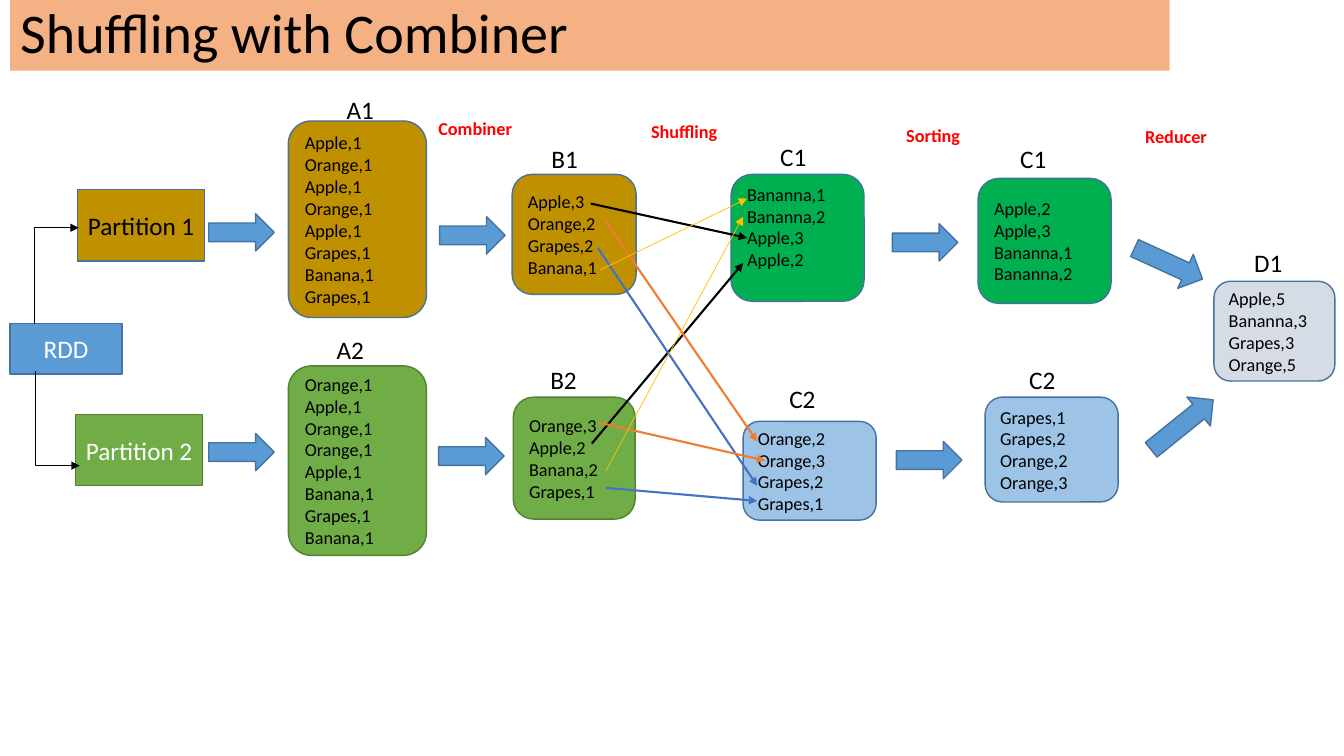
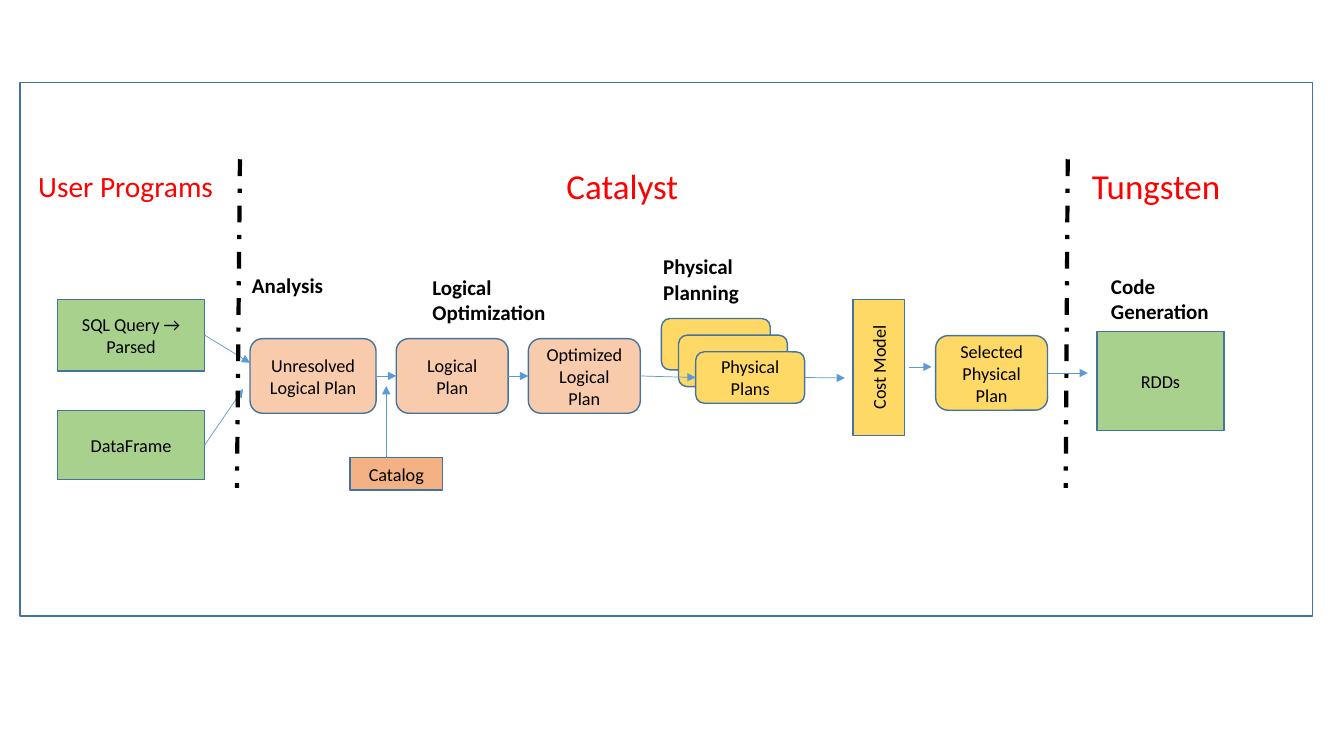
"""Builds two slides: shuffling with a combiner, and the query planning pipeline."""
from lxml import etree
from pptx import Presentation
from pptx.dml.color import RGBColor
from pptx.enum.dml import MSO_LINE
from pptx.enum.shapes import MSO_CONNECTOR, MSO_SHAPE
from pptx.enum.text import MSO_ANCHOR, MSO_AUTO_SIZE, PP_ALIGN
from pptx.oxml.ns import qn
from pptx.util import Emu, Pt

PX = 9144
FONT = "Calibri"
RECTANGLE = MSO_SHAPE.RECTANGLE
ROUNDED = MSO_SHAPE.ROUNDED_RECTANGLE
BLOCK_ARROW = MSO_SHAPE.RIGHT_ARROW
STRAIGHT = MSO_CONNECTOR.STRAIGHT
ELBOW = MSO_CONNECTOR.ELBOW
DASH_DOT = MSO_LINE.DASH_DOT
LEFT, CENTER = PP_ALIGN.LEFT, PP_ALIGN.CENTER
TOP_SIDE, LEFT_SIDE, RIGHT_SIDE = 0, 1, 3
COLOURS = {
    "black": "000000", "white": "FFFFFF", "red": "FF0000", "blue": "5B9BD5",
    "edge": "43739E", "green": "70AD47", "green edge": "538035",
    "gold": "BF9000", "emerald": "00B050", "sky": "9DC3E6", "grey": "D6DCE5",
    "band": "F4B183", "leaf": "A9D18E", "peach": "F8CBAD", "yellow": "FFD966",
    "royal": "4472C4", "orange": "ED7D31", "amber": "FFC000",
}


def px(length):
    """Turn px into EMU."""
    return Emu(round(length * PX))


def colour(name):
    """Return the named colour."""
    return RGBColor.from_string(COLOURS[name])


def write(shape, lines, size, ink="black", bold=False, align=LEFT, anchor=MSO_ANCHOR.TOP):
    """Write one paragraph per line into a shape."""
    frame = shape.text_frame
    frame.word_wrap = True
    frame.auto_size = MSO_AUTO_SIZE.NONE
    frame.vertical_anchor = anchor
    for index, line in enumerate(lines):
        paragraph = frame.add_paragraph() if index else frame.paragraphs[0]
        paragraph.alignment = align
        run = paragraph.add_run()
        run.text = line
        run.font.name = FONT
        run.font.size = Pt(size)
        run.font.bold = bold
        run.font.color.rgb = colour(ink)


def add_title(slide, text):
    """Turn the title placeholder into the coloured title band."""
    title = slide.shapes.title
    title.left, title.top, title.width, title.height = map(px, (10, 0, 1150, 70))
    title.fill.solid()
    title.fill.fore_color.rgb = colour("band")
    write(title, [text], 40, anchor=MSO_ANCHOR.MIDDLE)
    title.text_frame.paragraphs[0].line_spacing = 0.9


def add_box(slide, at, fill, lines=(), kind=RECTANGLE, size=13, ink="black", align=CENTER):
    """Add an outlined, filled shape with text in its middle."""
    box = slide.shapes.add_shape(kind, *map(px, at))
    box.shadow.inherit = False
    box.fill.solid()
    box.fill.fore_color.rgb = colour(fill)
    box.line.color.rgb = colour("green edge" if fill == "green" else "edge")
    box.line.width = Pt(1)
    write(box, lines, size, ink, align=align, anchor=MSO_ANCHOR.MIDDLE)
    return box


def add_records(slide, at, fill, records):
    """Add a rounded box listing comma-separated records, one a line."""
    return add_box(slide, at, fill, records.split(), ROUNDED, align=LEFT)


def add_label(slide, at, text, size, ink="black", bold=False):
    """Add a free-standing label."""
    label = slide.shapes.add_textbox(*map(px, at))
    write(label, [text], size, ink, bold)


def add_block_arrow(slide, left, top, width=65, rotation=0):
    """Add a thick arrow between two stages."""
    arrow = add_box(slide, (left, top, width, 37), "blue", kind=BLOCK_ARROW)
    arrow.rotation = rotation


def add_line(slide, start, end, ink="blue", width=0.5, kind=STRAIGHT, arrow="tailEnd", dash=None):
    """Add a line whose ends are points or (shape, side) pairs."""
    points = [(0, 0) if hasattr(place[0], "shape_id") else place for place in (start, end)]
    connector = slide.shapes.add_connector(kind, *(px(value) for point in points for value in point))
    for place, join in ((start, connector.begin_connect), (end, connector.end_connect)):
        if hasattr(place[0], "shape_id"):
            join(*place)
    connector.line.color.rgb = colour(ink)
    connector.line.width = Pt(width)
    if dash:
        connector.line.dash_style = dash
    properties = connector.element.spPr
    if arrow:
        etree.SubElement(properties.find(qn("a:ln")), qn(f"a:{arrow}"), type="triangle")
    etree.SubElement(properties, qn("a:effectLst"))
    return connector


def add_corner(slide, start, end):
    """Add a one-bend connector with its arrowhead at the start."""
    connector = add_line(slide, start, end, "black", kind=ELBOW, arrow="headEnd")
    connector.element.spPr.find(qn("a:prstGeom")).set("prst", "bentConnector2")


def build_shuffling(presentation):
    """Build the slide on shuffling with a combiner."""
    slide = presentation.slides.add_slide(presentation.slide_layouts[5])
    add_title(slide, "Shuffling with Combiner")
    for at, fill, text, ink in (
        ((77, 188, 126, 71), "gold", "Partition 1", "black"),
        ((75, 411, 126, 71), "green", "Partition 2", "white"),
        ((10, 321, 111, 50), "blue", "RDD", "white"),
    ):
        add_box(slide, at, fill, [text], size=18, ink=ink)
    for at, fill, records in (
        ((286, 120, 137, 195), "gold",
         "Apple,1 Orange,1 Apple,1 Orange,1 Apple,1 Grapes,1 Banana,1 Grapes,1"),
        ((286, 363, 137, 188), "green",
         "Orange,1 Apple,1 Orange,1 Orange,1 Apple,1 Banana,1 Grapes,1 Banana,1"),
        ((508, 173, 123, 119), "gold", "Apple,3 Orange,2 Grapes,2 Banana,1"),
        ((509, 394, 121, 121), "green", "Orange,3 Apple,2 Banana,2 Grapes,1"),
        ((737, 418, 132, 98), "sky", "Orange,2 Orange,3 Grapes,2 Grapes,1"),
        ((970, 177, 132, 124), "emerald", "Apple,2 Apple,3 Bananna,1 Bananna,2"),
        ((977, 394, 132, 104), "sky", "Grapes,1 Grapes,2 Orange,2 Orange,3"),
        ((1204, 279, 120, 99), "grey", "Apple,5 Bananna,3 Grapes,3 Orange,5"),
    ):
        add_records(slide, at, fill, records)
    shuffled = add_records(slide, (725, 173, 132, 126), "emerald",
                           "Bananna,1 Bananna,2 Apple,3 Apple,2")
    shuffled.text_frame.margin_bottom = px(27)
    for left, top in ((207, 212), (207, 430), (436, 215), (435, 434), (885, 222), (889, 438)):
        add_block_arrow(slide, left, top)
    add_block_arrow(slide, 1122, 243, 74, 24.6)
    add_block_arrow(slide, 1133, 403, 79, 321.1)
    for text, left, top in (("Combiner", 425, 111), ("Shuffling", 636, 114),
                            ("Sorting", 889, 118), ("Reducer", 1126, 119)):
        add_label(slide, (left, top, 123, 32), text, 13, "red", True)
    for text, left, top in (
        ("A1", 334, 89), ("A2", 324, 327), ("B1", 537, 137), ("B2", 536, 357), ("C1", 764, 135),
        ("C2", 773, 375), ("C1", 1002, 137), ("C2", 1011, 357), ("D1", 1234, 240),
    ):
        add_label(slide, (left, top, 60, 40), text, 18)
    for ink, width, start, end in (
        ("black", 1.5, (586, 202), (741, 236)), ("black", 1.5, (587, 440), (737, 261)),
        ("royal", 1.5, (593, 246), (751, 482)), ("royal", 1.5, (601, 484), (751, 497)),
        ("orange", 1.5, (601, 220), (751, 438)), ("orange", 1.5, (593, 419), (759, 457)),
        ("amber", 0.5, (601, 467), (737, 215)), ("amber", 0.5, (595, 268), (741, 197)),
    ):
        add_line(slide, start, end, ink, width)
    add_corner(slide, (78, 226), (34, 321))
    add_corner(slide, (79, 462), (35, 368))


def build_planning(presentation):
    """Build the slide on the query planning pipeline."""
    slide = presentation.slides.add_slide(presentation.slide_layouts[6])
    add_box(slide, (20, 82, 1282, 529), "white")
    for text, at in (
        ("Code Generation", (1092, 266, 144, 61)), ("Physical Planning", (648, 247, 116, 61)),
        ("Logical Optimization", (419, 267, 142, 61)), ("Analysis", (240, 265, 116, 35)),
    ):
        add_label(slide, at, text, 15, bold=True)
    for text, left, top, size in (("Catalyst", 552, 158, 25), ("Tungsten", 1073, 158, 25),
                                  ("User Programs", 28, 162, 21)):
        add_label(slide, (left, top, 229, 52), text, size, "red")

    query = add_box(slide, (57, 297, 146, 71), "leaf", ["SQL Query → Parsed"])
    data_frame = add_box(slide, (57, 407, 146, 69), "leaf", ["DataFrame"])
    unresolved, logical, optimized = (
        add_box(slide, (left, 336, width, 74), "peach", [text], ROUNDED)
        for left, width, text in ((248, 125, "Unresolved Logical Plan"), (393, 111, "Logical Plan"),
                                  (524, 111, "Optimized Logical Plan"))
    )
    for step, lines in enumerate(((), (), ["Physical Plans"])):
        physical = add_box(slide, (656 + 17 * step, 316 + 16.5 * step, 108, 51), "yellow", lines, ROUNDED)
    cost_model = add_box(slide, (846, 297, 51, 135), "yellow", ["Cost Model"])
    cost_model.element.txBody.bodyPr.set("vert", "vert270")
    selected = add_box(slide, (928, 333, 111, 74), "yellow", ["Selected Physical Plan"], ROUNDED)
    add_box(slide, (1088, 329, 126, 98), "leaf", ["RDDs"])
    add_box(slide, (347, 454, 92, 32), "band", ["Catalog"])

    for start, end in (
        ((query, RIGHT_SIDE), (248, 360)), ((data_frame, RIGHT_SIDE), (241, 386)),
        ((unresolved, RIGHT_SIDE), (logical, LEFT_SIDE)), ((383, 454), (383, 383)),
        ((logical, RIGHT_SIDE), (optimized, LEFT_SIDE)),
        ((optimized, RIGHT_SIDE), (physical, LEFT_SIDE)),
        ((physical, RIGHT_SIDE), (838, 375)), ((902, 364), (924, 364)),
        ((selected, RIGHT_SIDE), (1079, 370)),
    ):
        add_line(slide, start, end)
    for top_x, bottom_x in ((238, 235), (1059, 1057)):
        add_line(slide, (top_x, 158), (bottom_x, 484), "black", 3, arrow=None, dash=DASH_DOT)


def main():
    """Build and save the presentation."""
    presentation = Presentation()
    presentation.slide_width, presentation.slide_height = px(1333), px(750)
    build_shuffling(presentation)
    build_planning(presentation)
    presentation.save("out.pptx")


if __name__ == "__main__":
    main()
